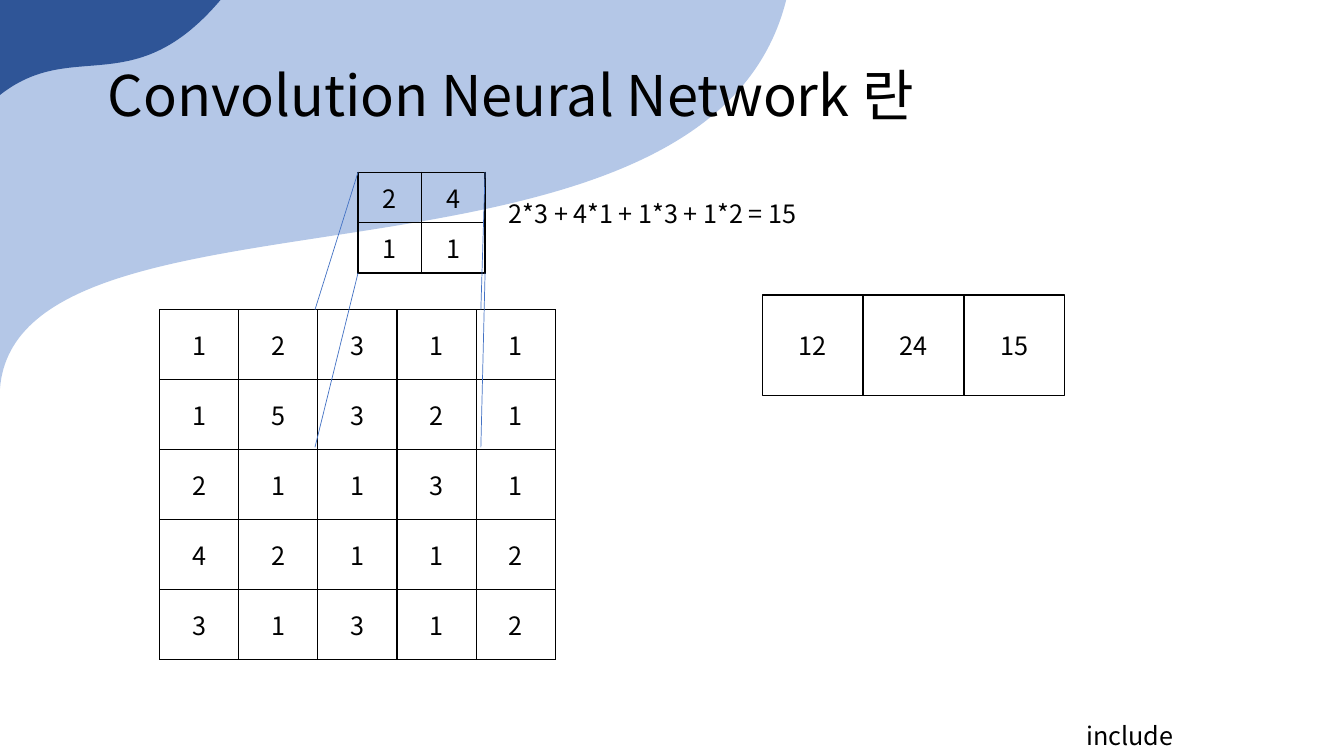
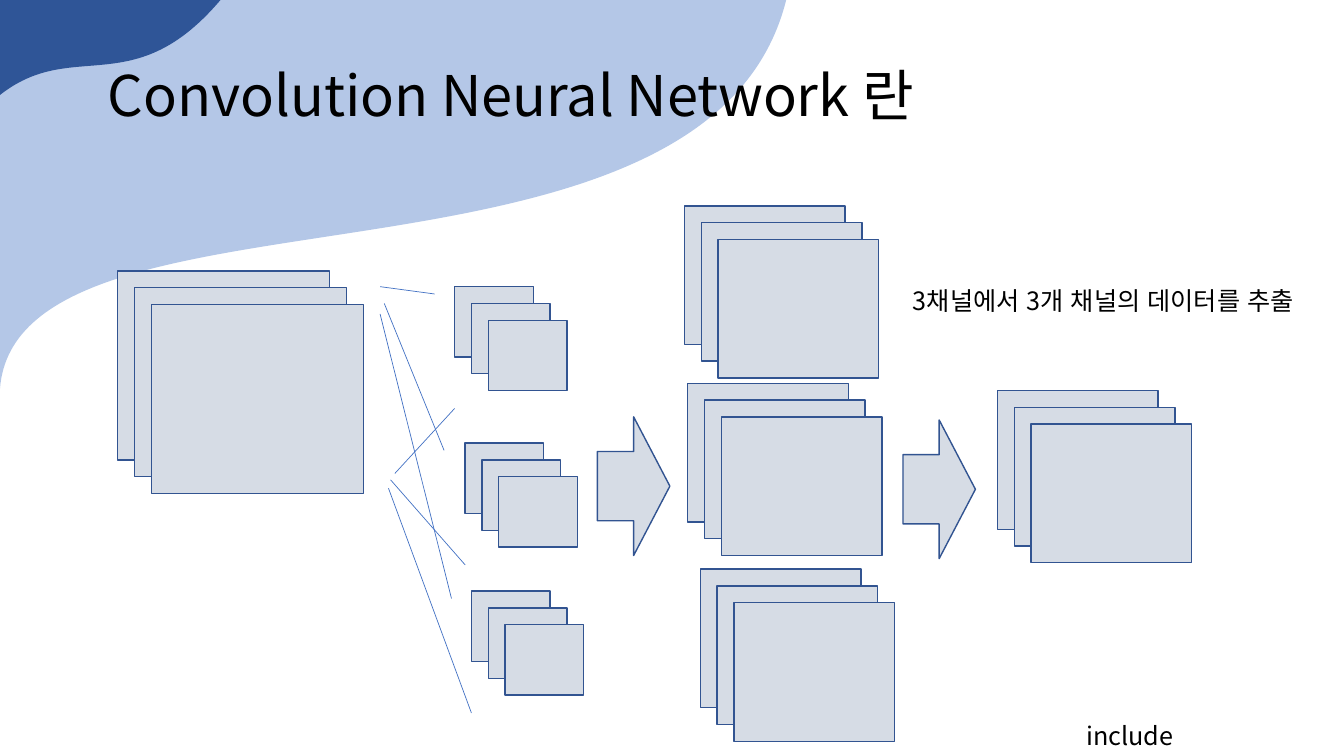
import dataclasses
import math
import typing

import lxml.etree
import pptx
import pptx.dml.color
import pptx.enum.dml
import pptx.enum.lang
import pptx.enum.shapes
import pptx.enum.text
import pptx.oxml.ns
import pptx.util

SCALE = 9525  # EMU in one px, 96 px to the inch
WIDE, HIGH = 1280, 720
FONT = "Noto Sans CJK KR"
BLACK, WHITE = "000000", "FFFFFF"
PALE, NAVY = "B4C7E7", "2F5597"
GREY, EDGE, RAY = "D6DCE5", "325491", "4472C4"
TITLE = "Convolution Neural Network 란"

ALIGN = pptx.enum.text.PP_ALIGN
ANCHOR = pptx.enum.text.MSO_ANCHOR
SHAPE = pptx.enum.shapes.MSO_SHAPE
qn = pptx.oxml.ns.qn

Point = tuple[int, int]


@dataclasses.dataclass(frozen=True)
class Box:
    left: int
    top: int
    width: int
    height: int

    def shift(self, right: int, down: int) -> "Box":
        return dataclasses.replace(self, left=self.left + right, top=self.top + down)

    def emu(self) -> list[int]:
        return [px(n) for n in dataclasses.astuple(self)]


@dataclasses.dataclass(frozen=True)
class Wave:
    """A turned outline; steps hold slide points, one for a line, three for a curve."""
    box: Box
    angle: float
    fill: str
    start: Point
    steps: tuple[tuple[Point, ...], ...]


@dataclasses.dataclass(frozen=True)
class Ray:
    start: Point
    end: Point


@dataclasses.dataclass(frozen=True)
class Grid:
    box: Box
    rows: tuple[str, ...]


# Shared by both slides
WAVES = (
    Wave(Box(-122, -180, 818, 548), 317.8, PALE, (-8, 197), (
        ((-12, 199), (-18, 582), (-10, -6)),
        ((750, -5),),
        ((678, 314), (-17, 147), (0, 387)),
        ((-8, 304), (-5, 359), (-6, 244)),
        ((-4, 210), (-9, 232), (-8, 197)),
    )),
    Wave(Box(-52, -62, 256, 148), 323.6, NAVY, (-12, 52), (
        ((-16, 51), (-11, 37), (-10, 26)),
        ((-8, 4), (-49, 2), (-7, -15)),
        ((219, -11),),
        ((125, 110), (65, 24), (-14, 103)),
        ((-22, 109), (-12, 53), (-12, 52)),
    )),
)
FOOT = Box(1025, 681, 324, 38)
HEAD = Box(93, 60, 1088, 96)

# Slide 1: input and kernel, one digit a cell
GRIDS = (
    Grid(Box(152, 295, 377, 333), ("12311", "15321", "21131", "42112", "31312")),
    Grid(Box(341, 164, 121, 96), ("24", "11")),
)
SUMS = ("12", "24", "15")
SUM = Box(726, 281, 96, 96)

# Slide 2: stacked channels, arrows and links
STEP, DEPTH = 16, 3
STACKS = (
    Box(112, 258, 202, 180),
    *(Box(x, y, 75, 67) for x, y in ((433, 273), (443, 422), (449, 563))),
    *(Box(x, y, 153, 132) for x, y in ((652, 196), (655, 365), (667, 542), (950, 372))),
)
ARROWS = (Box(569, 397, 69, 132), Box(860, 400, 69, 132))
LINKS = (
    Ray((362, 273), (414, 280)),
    Ray((376, 451), (433, 389)),
    Ray((366, 289), (423, 429)),
    Ray((372, 457), (443, 538)),
    Ray((362, 299), (430, 570)),
    Ray((370, 465), (449, 679)),
)


def px(size: float) -> int:
    return round(size * SCALE)


def paint(target: typing.Any, color: str) -> None:
    """Colour a fill or a font."""
    if hasattr(target, "solid"):
        target.solid()
        target.fore_color.rgb = pptx.dml.color.RGBColor.from_string(color)
    else:
        target.color.rgb = pptx.dml.color.RGBColor.from_string(color)


def write(frame: typing.Any, text: str, size: int = 18,
          align: typing.Any = ALIGN.LEFT) -> typing.Any:
    frame.text = text
    para = frame.paragraphs[0]
    para.alignment = align
    para.font.size = pptx.util.Pt(size)
    para.font.name = FONT
    paint(para.font, BLACK)
    props = para._p.pPr.find(qn("a:defRPr"))
    lxml.etree.SubElement(props, qn("a:ea"), typeface=FONT)
    return para


def label(slide: typing.Any, box: Box, text: str) -> typing.Any:
    shape = slide.shapes.add_textbox(*box.emu())
    shape.text_frame.word_wrap = True
    shape.text_frame.auto_size = pptx.enum.text.MSO_AUTO_SIZE.SHAPE_TO_FIT_TEXT
    write(shape.text_frame, text)
    return shape


def block(slide: typing.Any, box: Box, kind: typing.Any = SHAPE.RECTANGLE,
          fill: str = GREY, edge: str = EDGE) -> typing.Any:
    shape = slide.shapes.add_shape(kind, *box.emu())
    shape.shadow.inherit = False
    paint(shape.fill, fill)
    paint(shape.line.fill, edge)
    shape.line.width = pptx.util.Pt(1)
    return shape


def link(slide: typing.Any, ray: Ray) -> None:
    kind = pptx.enum.shapes.MSO_CONNECTOR.STRAIGHT
    line = slide.shapes.add_connector(kind, *(px(n) for n in ray.start + ray.end))
    paint(line.line.fill, RAY)
    line.line.width = pptx.util.Pt(0.5)
    lxml.etree.SubElement(line.element.spPr, qn("a:effectLst"))


def border(cell: typing.Any) -> None:
    props = cell._tc.get_or_add_tcPr()
    for spot, side in enumerate(("a:lnL", "a:lnR", "a:lnT", "a:lnB")):
        line = lxml.etree.Element(qn(side), w=str(pptx.util.Pt(1)))
        fill = lxml.etree.SubElement(line, qn("a:solidFill"))
        lxml.etree.SubElement(fill, qn("a:srgbClr"), val=BLACK)
        props.insert(spot, line)


def table(slide: typing.Any, grid: Grid) -> None:
    high, wide = len(grid.rows), len(grid.rows[0])
    body = slide.shapes.add_table(high, wide, *grid.box.emu()).table
    body.first_row = body.horz_banding = False
    for col in body.columns:
        col.width = px(grid.box.width / wide)
    for row in body.rows:
        row.height = px(grid.box.height / high)
    for cell, digit in zip(body.iter_cells(), "".join(grid.rows)):
        cell.fill.background()
        cell.vertical_anchor = ANCHOR.MIDDLE
        write(cell.text_frame, digit, align=ALIGN.CENTER)
        border(cell)


def unturn(wave: Wave, spot: Point) -> tuple[int, int]:
    """Turn a slide point back into the wave's own frame, in EMU."""
    box, turn = wave.box, math.radians(-wave.angle)
    x = spot[0] - box.left - box.width / 2
    y = spot[1] - box.top - box.height / 2
    return (px(x * math.cos(turn) - y * math.sin(turn) + box.width / 2),
            px(x * math.sin(turn) + y * math.cos(turn) + box.height / 2))


def swell(slide: typing.Any, wave: Wave) -> typing.Any:
    pen = slide.shapes.build_freeform(*unturn(wave, wave.start))
    pen.add_line_segments([unturn(wave, step[-1]) for step in wave.steps])
    shape = pen.convert_to_shape()
    shape.left, shape.top, shape.width, shape.height = wave.box.emu()
    shape.rotation = wave.angle
    shape.shadow.inherit = False
    paint(shape.fill, wave.fill)
    shape.line.fill.background()
    # Redraw the outline with true curves
    track = next(shape.element.iter(qn("a:path")))
    for child in list(track):
        track.remove(child)
    track.set("w", str(px(wave.box.width)))
    track.set("h", str(px(wave.box.height)))
    for index, step in enumerate(((wave.start,), *wave.steps)):
        tag = "a:cubicBezTo" if len(step) == 3 else "a:lnTo" if index else "a:moveTo"
        move = lxml.etree.SubElement(track, qn(tag))
        for spot in step:
            x, y = unturn(wave, spot)
            lxml.etree.SubElement(move, qn("a:pt"), x=str(x), y=str(y))
    lxml.etree.SubElement(track, qn("a:close"))
    return shape


def dress(slide: typing.Any) -> None:
    """Put the footer and the waves on the layout that the slides share."""
    parts = [label(slide, FOOT, "include")]
    parts += [swell(slide, wave) for wave in WAVES]
    for part in parts:
        slide.slide_layout.shapes.element.append(part.element)


def start(deck: typing.Any) -> typing.Any:
    slide = deck.slides.add_slide(deck.slide_layouts[5])
    title = slide.shapes.title
    title.left, title.top, title.width, title.height = HEAD.emu()
    frame = title.text_frame
    frame.word_wrap = True
    frame.auto_size = pptx.enum.text.MSO_AUTO_SIZE.NONE
    frame.vertical_anchor = ANCHOR.TOP
    para = write(frame, TITLE, 40)
    para.line_spacing = 0.9
    para.space_before = pptx.util.Pt(10)
    return slide


def kernel(slide: typing.Any) -> None:
    for grid in GRIDS:
        table(slide, grid)
    # Rays from the covered cells up to the kernel's corners
    for low, top in ((295, 164), (426, 260)):
        for near, far in ((300, 341), (458, 462)):
            link(slide, Ray((near, low), (far, top)))
    label(slide, Box(475, 184, 355, 38), "2*3 + 4*1 + 1*3 + 1*2 = 15")
    for index, text in enumerate(SUMS):
        cell = block(slide, SUM.shift(index * SUM.width, 0), fill=WHITE, edge=BLACK)
        cell.text_frame.vertical_anchor = ANCHOR.MIDDLE
        write(cell.text_frame, text, align=ALIGN.CENTER)


def layers(slide: typing.Any) -> None:
    for stack in STACKS:
        for index in range(DEPTH):
            block(slide, stack.shift(index * STEP, index * STEP))
    for arrow in ARROWS:
        block(slide, arrow, SHAPE.RIGHT_ARROW)
    for ray in LINKS:
        link(slide, ray)
    note = label(slide, Box(860, 267, 453, 38), "3채널에서 3개 채널의 데이터를 추출")
    run = note.text_frame.paragraphs[0].runs[0]
    run.font.language_id = pptx.enum.lang.MSO_LANGUAGE_ID.KOREAN


def main() -> None:
    deck = pptx.Presentation()
    deck.slide_width, deck.slide_height = px(WIDE), px(HIGH)
    first = start(deck)
    dress(first)
    kernel(first)
    layers(start(deck))
    deck.save("out.pptx")


if __name__ == "__main__":
    main()
